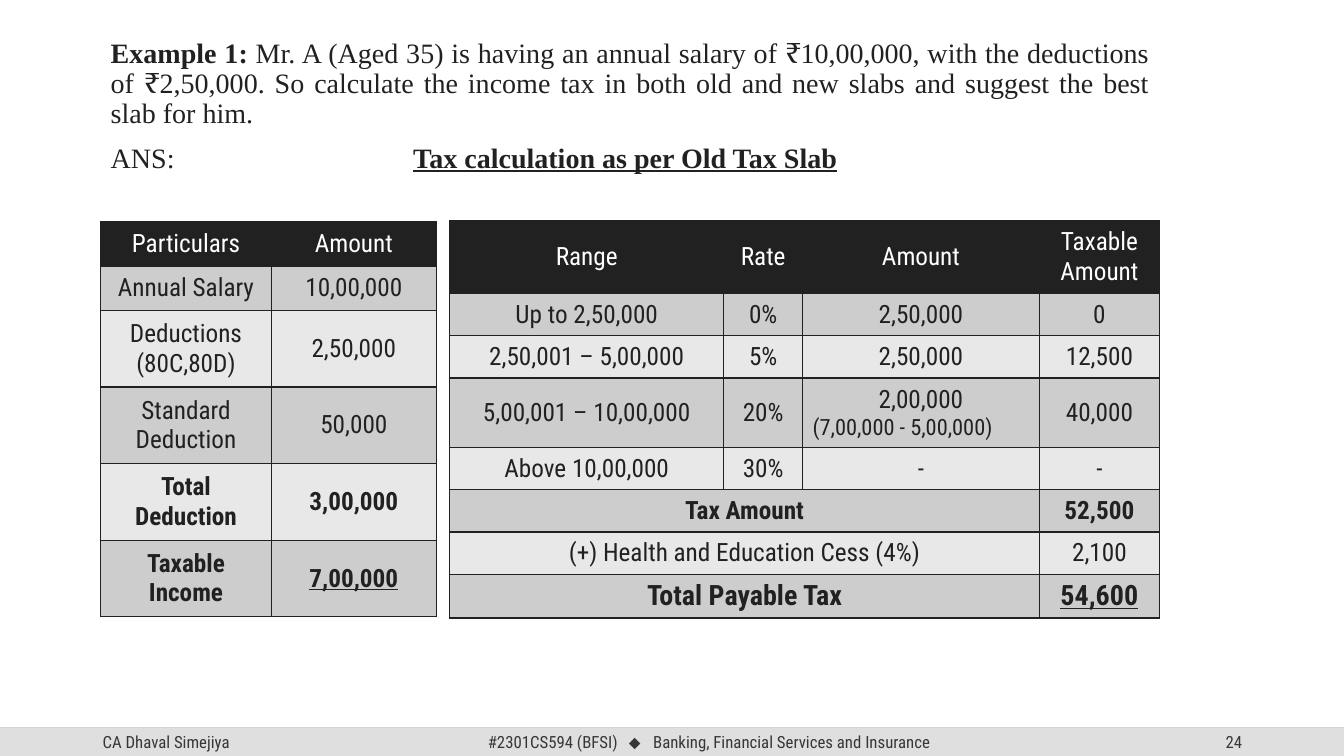
from pptx import Presentation
from pptx import util as u
from pptx.dml.color import RGBColor
from pptx.enum import shapes, text
from pptx.oxml import parse_xml
from pptx.oxml.ns import nsdecls

PX = 9144  # EMU in one px, 100 px to the inch
COLORS = {"ink": "212121", "white": "FFFFFF", "band": "CDCDCD", "pale": "E8E8E8",
          "bar": "DFDFDF", "rule": "D2D2D2", "footer": "373737"}
SERIF, SANS = "Times New Roman", "Roboto Condensed"
LEFT, CENTER, RIGHT, JUSTIFY = (text.PP_ALIGN.LEFT, text.PP_ALIGN.CENTER,
                                text.PP_ALIGN.RIGHT, text.PP_ALIGN.JUSTIFY)
MIDDLE, TOP = text.MSO_ANCHOR.MIDDLE, text.MSO_ANCHOR.TOP


def px(n):
    return u.Emu(n * PX)


def rgb(name):
    return RGBColor.from_string(COLORS[name])


def write(p, words, size=18, font=SANS, color="ink", bold=False, underline=False):
    r = p.add_run()
    r.text = words
    f = r.font
    f.size, f.name, f.bold, f.underline = u.Pt(size), font, bold, underline
    f.color.rgb = rgb(color)


def set_tabs(p, *stops):
    tabs = "".join(f'<a:tab pos="{px(n)}" algn="l"/>' for n in stops)
    p._p.get_or_add_pPr().append(parse_xml(f'<a:tabLst {nsdecls("a")}>{tabs}</a:tabLst>'))


class Slide:
    def __init__(self, prs):
        self.s = prs.slides.add_slide(prs.slide_layouts[6])

    def line(self, x1, y1, x2, y2, color):
        c = self.s.shapes.add_connector(shapes.MSO_CONNECTOR.STRAIGHT,
                                        px(x1), px(y1), px(x2), px(y2))
        c.line.color.rgb = rgb(color)
        c.line.width = u.Pt(1)
        c._element.spPr.append(parse_xml(f'<a:effectLst {nsdecls("a")}/>'))

    def rect(self, x, y, w, h, color):
        sp = self.s.shapes.add_shape(shapes.MSO_SHAPE.RECTANGLE, px(x), px(y), px(w), px(h))
        sp.shadow.inherit = False
        sp.fill.solid()
        sp.fill.fore_color.rgb = rgb(color)
        sp.line.fill.background()

    def text(self, x, y, w, h, anchor=TOP, align=LEFT):
        """Add an empty text box and return its text frame."""
        tf = self.s.shapes.add_textbox(px(x), px(y), px(w), px(h)).text_frame
        tf.word_wrap = True
        tf.vertical_anchor = anchor
        tf.paragraphs[0].alignment = align
        return tf

    def table(self, x, y, cols, heights, rows):
        """Draw rows of (cells, format); a None cell joins the cell to its left."""
        t = self.s.shapes.add_table(len(rows), len(cols), px(x), px(y),
                                    px(sum(cols)), px(sum(heights))).table
        for col, w in zip(t.columns, cols):
            col.width = px(w)
        for i, (cells, fmt) in enumerate(rows):
            t.rows[i].height = px(heights[i])
            fill = "ink" if i == 0 else "band" if i % 2 else "pale"
            for j, words in enumerate(cells):
                cell = t.cell(i, j)
                self.style_cell(cell, fill)
                if words is None:
                    continue
                last = i == len(rows) - 1 and j == len(cols) - 1
                self.fill_cell(cell, words, underline=last, **fmt)
            joined = cells.count(None)
            if joined:
                t.cell(i, 0).merge(t.cell(i, joined))

    def style_cell(self, cell, fill):
        tcPr = cell._tc.get_or_add_tcPr()
        for side in "LRTB":
            tcPr.append(parse_xml(
                f'<a:ln{side} {nsdecls("a")} w="{u.Pt(1)}"><a:solidFill>'
                f'<a:srgbClr val="{COLORS["ink"]}"/></a:solidFill></a:ln{side}>'))
        cell.fill.solid()
        cell.fill.fore_color.rgb = rgb(fill)
        cell.vertical_anchor = MIDDLE

    def fill_cell(self, cell, words, **fmt):
        """Write the first line centred and any further line as a smaller note."""
        main, *notes = words.split("\n")
        p = cell.text_frame.paragraphs[0]
        p.alignment = CENTER
        write(p, main, **fmt)
        for note in notes:
            p = cell.text_frame.add_paragraph()
            p.alignment = JUSTIFY
            write(p, note, size=16)


def add_footer(slide):
    slide.line(0, 722, 1333, 722, "rule")
    slide.rect(0, 722, 1333, 28, "bar")
    style = {"size": 12, "color": "footer"}
    for x, align, words in ((92, LEFT, "CA Dhaval Simejiya"), (942, RIGHT, "24")):
        write(slide.text(x, 722, 300, 28, MIDDLE, align).paragraphs[0], words, **style)
    p = slide.text(474, 722, 470, 28, MIDDLE).paragraphs[0]
    set_tabs(p, 140, 164)
    write(p, "#2301CS594 (BFSI)\t", **style)
    write(p, "⬥", font="Arial", **style)
    write(p, "\tBanking, Financial Services and Insurance", **style)


def add_question(slide):
    tf = slide.text(100, 34, 1050, 167)
    question, answer = tf.paragraphs[0], tf.add_paragraph()
    set_tabs(answer, 300)
    for p in (question, answer):
        p.alignment = JUSTIFY
        p.line_spacing = 0.9
    answer.space_before = u.Pt(10)
    style = {"size": 20, "font": SERIF}
    write(question, "Example 1:", bold=True, **style)
    write(question, " Mr. A (Aged 35) is having an annual salary of ₹10,00,000, with the "
          "deductions of ₹2,50,000. So calculate the income tax in both old and new slabs "
          "and suggest the best slab for him.", **style)
    write(answer, "ANS:\t", **style)
    write(answer, "Tax calculation as per Old Tax Slab", bold=True, underline=True, **style)


def main():
    prs = Presentation()
    prs.slide_width, prs.slide_height = px(1333), px(750)
    slide = Slide(prs)
    add_footer(slide)
    add_question(slide)

    head, plain, bold = {"color": "white"}, {}, {"bold": True}
    slide.table(100, 220, [169, 164], [44] * 2 + [76] * 4, [
        (["Particulars", "Amount"], head),
        (["Annual Salary", "10,00,000"], plain),
        (["Deductions (80C,80D)", "2,50,000"], plain),
        (["Standard Deduction", "50,000"], plain),
        (["Total Deduction", "3,00,000"], bold),
        (["Taxable Income", "7,00,000"], bold),
    ])
    slide.table(446, 219, [272, 78, 235, 119], [72, 42, 42, 69] + [42] * 4, [
        (["Range", "Rate", "Amount", "Taxable Amount"], head),
        (["Up to 2,50,000", "0%", "2,50,000", "0"], plain),
        (["2,50,001 – 5,00,000", "5%", "2,50,000", "12,500"], plain),
        (["5,00,001 – 10,00,000", "20%", "2,00,000\n(7,00,000 - 5,00,000)", "40,000"], plain),
        (["Above 10,00,000", "30%", "-", "-"], plain),
        (["Tax Amount", None, None, "52,500"], bold),
        (["(+) Health and Education Cess (4%)", None, None, "2,100"], plain),
        (["Total Payable Tax", None, None, "54,600"], {"bold": True, "size": 20}),
    ])
    prs.save("out.pptx")


if __name__ == "__main__":
    main()
